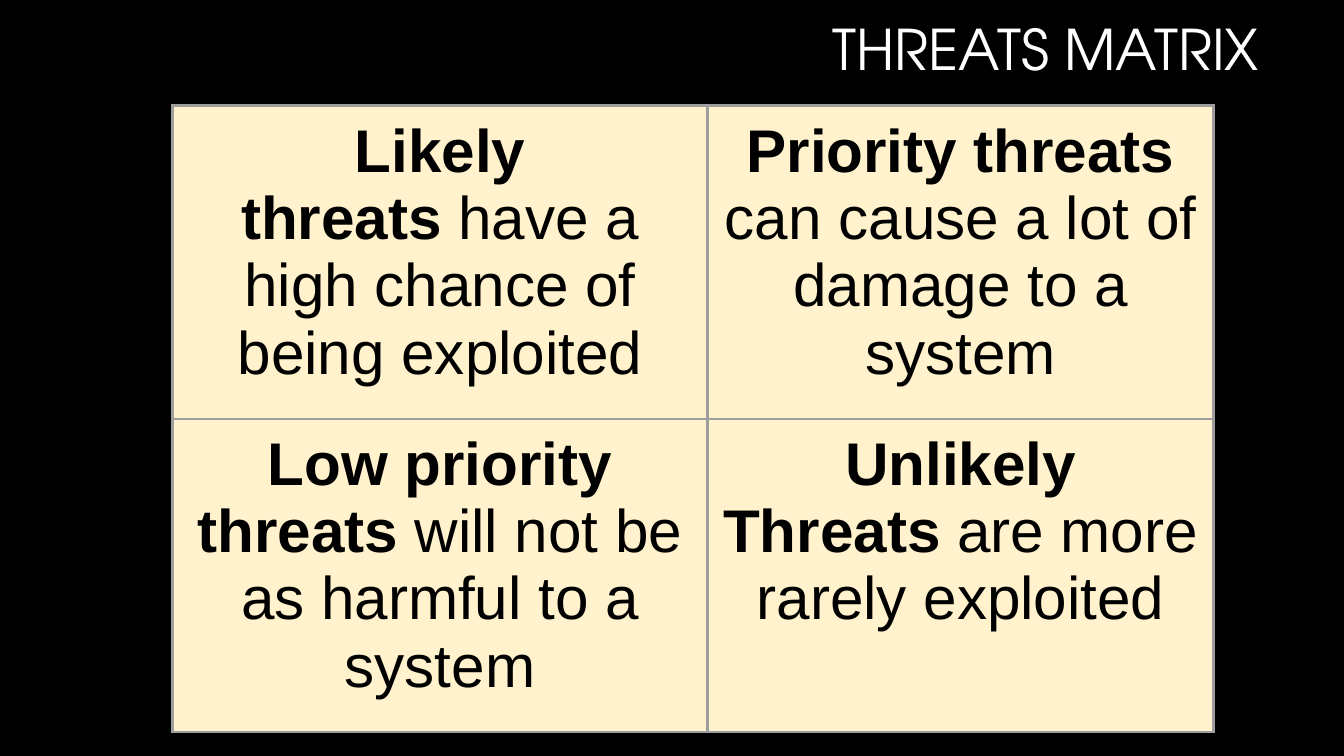
from lxml import etree
from pptx import Presentation
from pptx.dml.color import RGBColor
from pptx.enum import text
from pptx.oxml import ns
from pptx.util import Pt

BLACK = RGBColor(0x00, 0x00, 0x00)
WHITE = RGBColor(0xFF, 0xFF, 0xFF)
CREAM = RGBColor(0xFF, 0xF2, 0xCC)
GREY = RGBColor(0x9E, 0x9E, 0x9E)

COLUMN_WIDTHS = [382.3, 361.4]
ROW_HEIGHT = 213.84
CELL_INSET = 8.64

# Each cell holds paragraphs, each paragraph holds (text, bold) runs.
THREATS = [
    [
        [[("Likely", True)],
         [("threats ", True), ("have a high chance of being exploited", False)]],
        [[("Priority threats ", True),
          ("can cause a lot of damage to a system", False)]],
    ],
    [
        [[("Low priority", True)],
         [("threats ", True), ("will not be as harmful to a system", False)]],
        [[("Unlikely", True)],
         [("Threats ", True), ("are more rarely exploited", False)]],
    ],
]


def write(tf, paragraphs, font="Arial", size=43, color=BLACK,
          align=text.PP_ALIGN.CENTER, spacing=None):
    for i, runs in enumerate(paragraphs):
        p = tf.paragraphs[0] if i == 0 else tf.add_paragraph()
        p.alignment = align
        p.line_spacing = spacing
        for words, bold in runs:
            r = p.add_run()
            r.text = words
            r.font.name = font
            r.font.size = Pt(size)
            r.font.bold = bold
            r.font.color.rgb = color


def add_borders(cell, color=GREY, width=2.25):
    tc_pr = cell._tc.get_or_add_tcPr()
    for side in ("a:lnL", "a:lnR", "a:lnT", "a:lnB"):
        ln = etree.SubElement(tc_pr, ns.qn(side), w=str(Pt(width)))
        fill = etree.SubElement(ln, ns.qn("a:solidFill"))
        etree.SubElement(fill, ns.qn("a:srgbClr"), val=str(color))


prs = Presentation()
prs.slide_width, prs.slide_height = Pt(960), Pt(540)
slide = prs.slides.add_slide(prs.slide_layouts[6])
slide.background.fill.solid()
slide.background.fill.fore_color.rgb = BLACK

title = slide.shapes.add_textbox(Pt(228.2), Pt(-13.7), Pt(678.2), Pt(101.5))
tf = title.text_frame
tf.word_wrap = True
tf.vertical_anchor = text.MSO_ANCHOR.MIDDLE
write(tf, [[("THREATS MATRIX", False)]], font="TeX Gyre Adventor", size=40,
      color=WHITE, align=text.PP_ALIGN.RIGHT, spacing=0.9)

table = slide.shapes.add_table(
    len(THREATS), len(COLUMN_WIDTHS), Pt(123.1), Pt(75.6),
    Pt(sum(COLUMN_WIDTHS)), Pt(ROW_HEIGHT * len(THREATS))).table
table.first_row = table.horz_banding = False
for column, width in zip(table.columns, COLUMN_WIDTHS):
    column.width = Pt(width)

for row, row_threats in enumerate(THREATS):
    table.rows[row].height = Pt(ROW_HEIGHT)
    for col, paragraphs in enumerate(row_threats):
        cell = table.cell(row, col)
        cell.margin_left = cell.margin_right = Pt(CELL_INSET)
        cell.margin_top = cell.margin_bottom = Pt(CELL_INSET)
        add_borders(cell)
        cell.fill.solid()
        cell.fill.fore_color.rgb = CREAM
        write(cell.text_frame, paragraphs)

prs.save("out.pptx")
